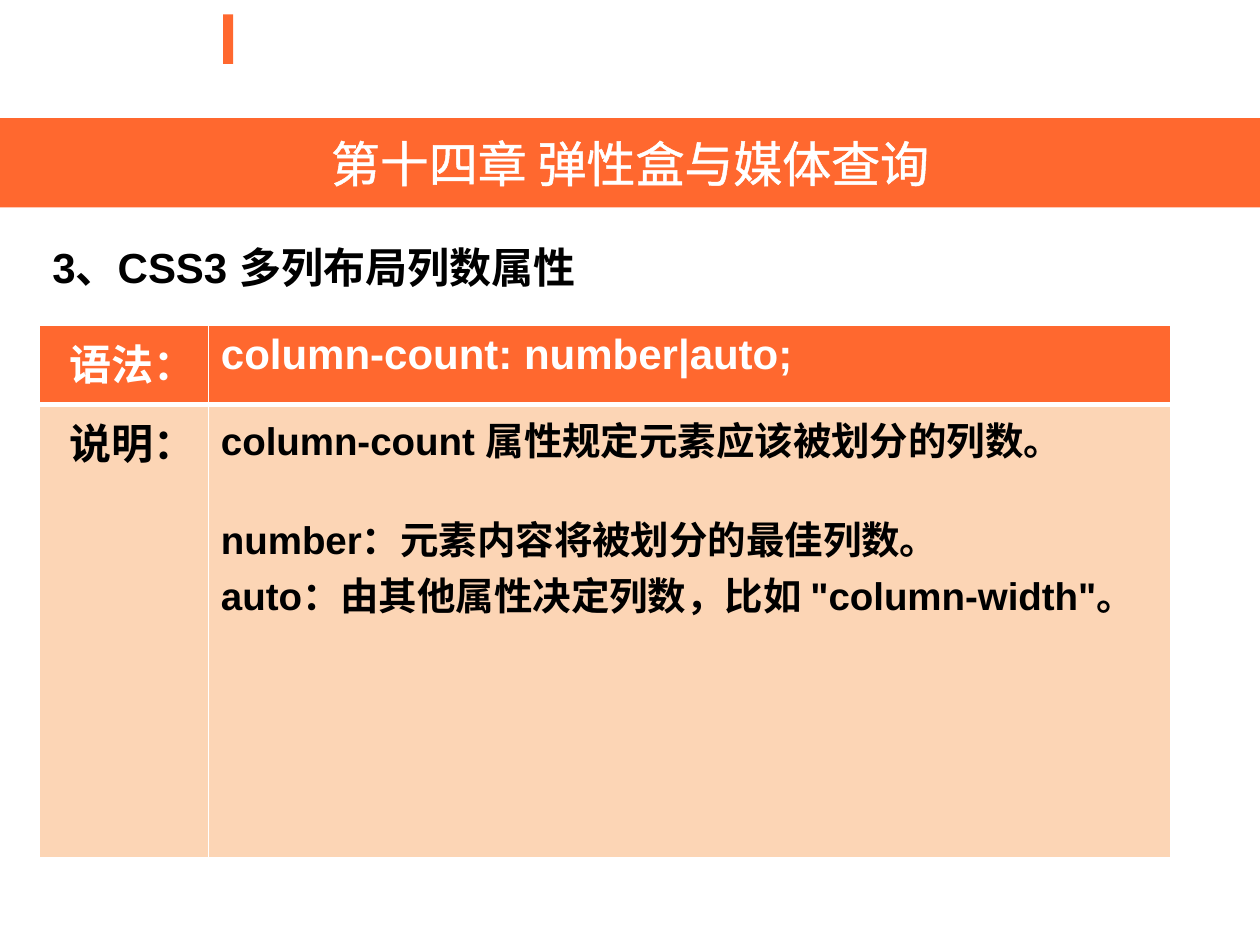
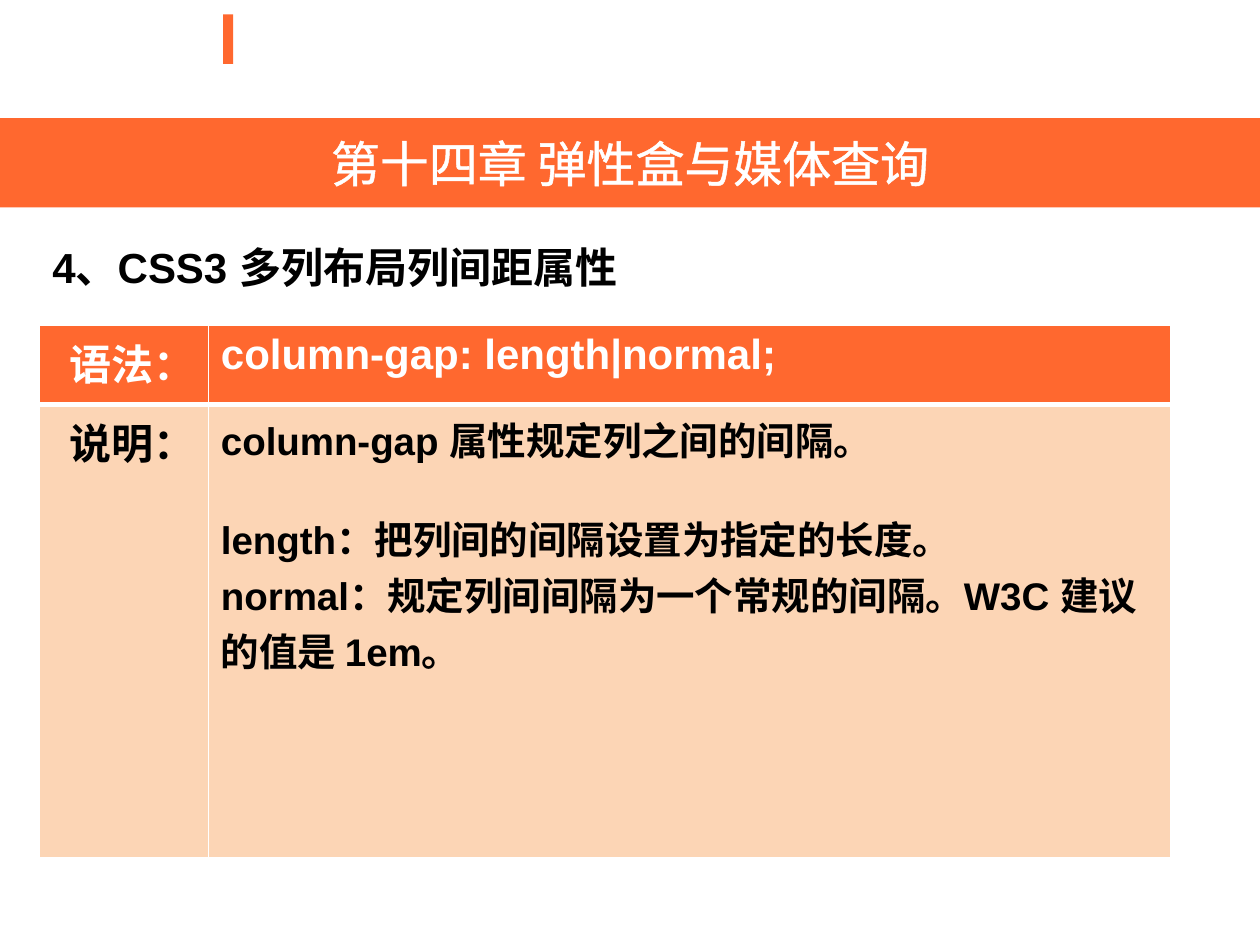
from lxml.etree import SubElement
from pptx import Presentation
from pptx.dml.color import RGBColor
from pptx.enum.shapes import MSO_SHAPE
from pptx.enum.text import MSO_ANCHOR, MSO_AUTO_SIZE, PP_ALIGN
from pptx.oxml import parse_xml
from pptx.oxml.ns import nsdecls, qn
from pptx.util import Cm, Pt

ORANGE = RGBColor(0xFF, 0x68, 0x2F)
PEACH = RGBColor(0xFC, 0xD5, 0xB5)
WHITE = RGBColor(0xFF, 0xFF, 0xFF)
BLACK = RGBColor(0, 0, 0)
FONT = "Arial"
CHAPTER = "第十四章 弹性盒与媒体查询"

# Boxes: left, top, width, height
ACCENT_BOX = Cm(4.5), Cm(0.29), Cm(0.2), Cm(1)
BAND_BOX = Cm(0), Cm(2.38), Cm(25.4), Cm(1.8)
HEADING_BOX = Cm(0.8), Cm(4.75), Cm(24.6), Cm(13.28)
TABLE_BOX = Cm(0.8), Cm(6.56), Cm(22.8), Cm(10.73)
LABEL_WIDTH = Cm(3.4)
SYNTAX_HEIGHT = Cm(1.6)

SLIDES = [
    ("3、CSS3 多列布局列数属性",
     "column-count: number|auto;",
     ["column-count 属性规定元素应该被划分的列数。",
      "number：元素内容将被划分的最佳列数。",
      'auto：由其他属性决定列数，比如 "column-width"。']),
    ("4、CSS3 多列布局列间距属性",
     "column-gap: length|normal;",
     ["column-gap 属性规定列之间的间隔。",
      "length：把列间的间隔设置为指定的长度。",
      "normal：规定列间间隔为一个常规的间隔。W3C 建议的值是 1em。"]),
]


def place(sp, box):
    sp.left, sp.top, sp.width, sp.height = box


def add_run(p, text, size, color, bold=True):
    r = p.add_run()
    r.text = text
    r.font.name, r.font.size, r.font.bold = FONT, Pt(size), bold
    r.font.color.rgb = color
    return r


def add_accent(slide, box):
    sp = slide.shapes.add_shape(MSO_SHAPE.RECTANGLE, *box)
    sp.shadow.inherit = False
    sp.fill.solid()
    sp.fill.fore_color.rgb = ORANGE
    sp.line.fill.background()


def fill_band(sp, box):
    place(sp, box)
    sp.fill.solid()
    sp.fill.fore_color.rgb = ORANGE
    tf = sp.text_frame
    tf.auto_size = MSO_AUTO_SIZE.NONE
    tf.vertical_anchor = MSO_ANCHOR.MIDDLE
    p = tf.paragraphs[0]
    p.alignment = PP_ALIGN.CENTER
    r = add_run(p, CHAPTER, 28, WHITE, bold=False)
    # Thin white outline round the letters
    r.font._element.insert(0, parse_xml(
        f'<a:ln {nsdecls("a")} w="{Pt(1.45)}"><a:solidFill>'
        f'<a:srgbClr val="{WHITE}"/></a:solidFill></a:ln>'))


def fill_heading(sp, box, text):
    place(sp, box)
    tf = sp.text_frame
    tf.auto_size = MSO_AUTO_SIZE.NONE
    p = tf.paragraphs[0]
    p.space_before = Pt(0)
    pPr = p._p.get_or_add_pPr()
    pPr.set("marL", "0")
    pPr.set("indent", "0")
    SubElement(pPr, qn("a:buNone"))
    add_run(p, text, 24, BLACK)


def style_cell(cell, fill, top, bottom):
    tcPr = cell._tc.get_or_add_tcPr()
    for side, width in (("L", 1), ("R", 1), ("T", top), ("B", bottom)):
        ln = SubElement(tcPr, qn(f"a:ln{side}"), w=str(Pt(width)))
        color = SubElement(ln, qn("a:solidFill"))
        SubElement(color, qn("a:srgbClr"), val=str(WHITE))
    cell.fill.solid()
    cell.fill.fore_color.rgb = fill


def add_property_table(slide, box, syntax, notes):
    table = slide.shapes.add_table(2, 2, *box).table
    table.columns[0].width = LABEL_WIDTH
    table.columns[1].width = box[2] - LABEL_WIDTH
    table.rows[0].height = SYNTAX_HEIGHT
    table.rows[1].height = box[3] - SYNTAX_HEIGHT

    # label, lines, text size, text colour, fill, top and bottom border
    rows = [("语法：", [syntax], 24, WHITE, ORANGE, 1, 3),
            ("说明：", notes, 22, BLACK, PEACH, 3, 1)]
    for i, (label, lines, size, color, fill, top, bottom) in enumerate(rows):
        name, content = table.cell(i, 0), table.cell(i, 1)
        for cell in (name, content):
            style_cell(cell, fill, top, bottom)
        p = name.text_frame.paragraphs[0]
        p.alignment = PP_ALIGN.RIGHT
        add_run(p, label, 24, color)
        tf = content.text_frame
        for j, line in enumerate(lines):
            p = tf.add_paragraph() if j else tf.paragraphs[0]
            if j == 1:
                p.space_before = Pt(25)
            add_run(p, line, size, color)


def add_property_slide(prs, heading, syntax, notes):
    slide = prs.slides.add_slide(prs.slide_layouts[1])
    add_accent(slide, ACCENT_BOX)
    fill_band(slide.shapes.title, BAND_BOX)
    fill_heading(slide.placeholders[1], HEADING_BOX, heading)
    add_property_table(slide, TABLE_BOX, syntax, notes)


def main():
    prs = Presentation()
    prs.slide_width, prs.slide_height = Cm(25.4), Cm(19.05)
    for heading, syntax, notes in SLIDES:
        add_property_slide(prs, heading, syntax, notes)
    prs.save("out.pptx")


if __name__ == "__main__":
    main()
